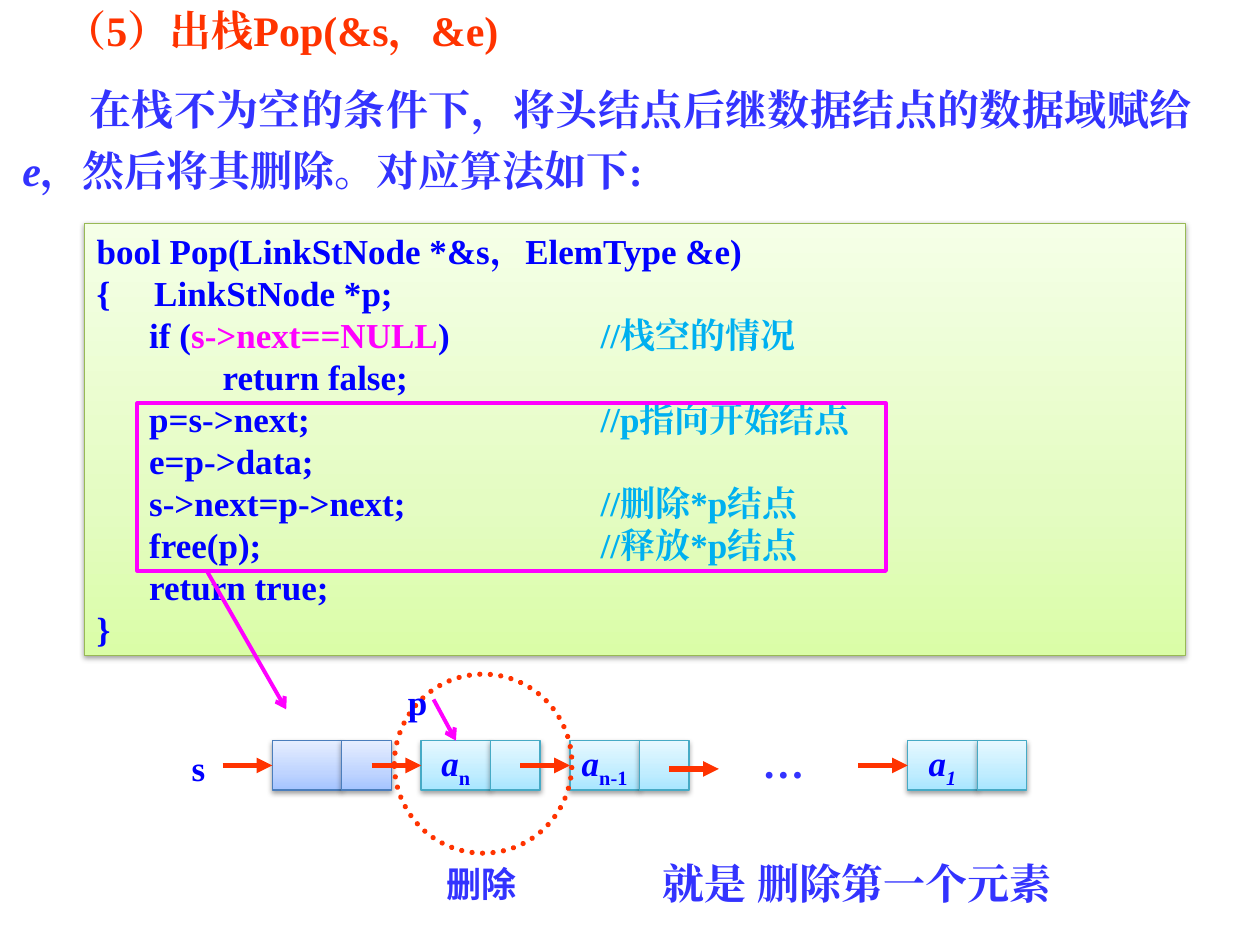
from copy import deepcopy

from lxml.etree import SubElement
from pptx import Presentation
from pptx.dml.color import RGBColor
from pptx.enum.dml import MSO_LINE
from pptx.enum.shapes import MSO_CONNECTOR, MSO_SHAPE
from pptx.enum.text import MSO_ANCHOR, PP_ALIGN
from pptx.oxml.ns import qn
from pptx.util import Cm, Pt

ORANGE = RGBColor(0xFF, 0x33, 0x00)
INDIGO = RGBColor(0x33, 0x33, 0xFF)
BLUE = RGBColor(0x00, 0x00, 0xFF)
MAGENTA = RGBColor(0xFF, 0x00, 0xFF)
SKY = RGBColor(0x00, 0xB0, 0xF0)
BLACK = RGBColor(0x00, 0x00, 0x00)

# Each palette: outline, then gradient colours from bottom to top
GREEN_PALETTE = (RGBColor(0x98, 0xB9, 0x55), RGBColor(0xDA, 0xFD, 0xA7),
                 RGBColor(0xE4, 0xFC, 0xC2), RGBColor(0xF5, 0xFF, 0xE7))
HEAD_PALETTE = (RGBColor(0x4B, 0x7E, 0xBC), RGBColor(0xA4, 0xC4, 0xFF),
                RGBColor(0xBF, 0xD4, 0xFF), RGBColor(0xE6, 0xEE, 0xFF))
DATA_PALETTE = (RGBColor(0x46, 0xAA, 0xC5), RGBColor(0xA7, 0xE6, 0xFF),
                RGBColor(0xC1, 0xED, 0xFF), RGBColor(0xE7, 0xF8, 0xFF))

CODE = [
    [("bool Pop(LinkStNode *&s，ElemType &e)", BLUE)],
    [("{     LinkStNode *p;", BLUE)],
    [("      if (", BLUE), ("s->next==NULL", MAGENTA), (")\t\t", BLUE),
     ("//栈空的情况", SKY)],
    [("\treturn false;", BLUE)],
    [("      p=s->next;\t\t\t", BLUE), ("//p指向开始结点", SKY)],
    [("      e=p->data;", BLUE)],
    [("      s->next=p->next;\t\t", BLUE), ("//删除*p结点", SKY)],
    [("      free(p);\t\t\t", BLUE), ("//释放*p结点", SKY)],
    [("      return true;", BLUE)],
    [("}", BLUE)],
]

NODE_TOP, NODE_HEIGHT = 14.93, 1
DATA_WIDTH, LINK_WIDTH = 1.4, 1
FIRST_NODE, NODE_PITCH, LAST_NODE = 5.49, 3, 18.3
ARROW_LENGTH = 1


def write(paragraph, text, size=20, color=BLUE, font="Times New Roman",
          italic=False, baseline=None):
    run = paragraph.add_run()
    run.text = text
    run.font.size = Pt(size)
    run.font.bold = True
    run.font.italic = italic
    run.font.name = font
    run.font.color.rgb = color
    properties = run.font._element
    SubElement(properties, qn("a:ea")).set("typeface", font)
    if baseline is not None:
        properties.set("baseline", str(baseline * 1000))


def indent_first_line(paragraph, distance):
    properties = paragraph._p.get_or_add_pPr()
    properties.set("marL", "0")
    properties.set("indent", str(Cm(distance)))


def add_tab_stops(paragraph, count=4, gap=2.54):
    stops = SubElement(paragraph._p.get_or_add_pPr(), qn("a:tabLst"))
    for number in range(1, count + 1):
        stop = SubElement(stops, qn("a:tab"))
        stop.set("pos", str(Cm(gap * number)))
        stop.set("algn", "l")


class SlideBuilder:
    """Draws styled elements on one slide; all lengths are in centimetres."""

    def __init__(self, slide):
        self.shapes = slide.shapes

    def text_box(self, left, top, width, height):
        frame = self.shapes.add_textbox(
            Cm(left), Cm(top), Cm(width), Cm(height)).text_frame
        frame.word_wrap = True
        return frame

    def label(self, text, left, top, width, height, align=PP_ALIGN.CENTER,
              **text_format):
        paragraph = self.text_box(left, top, width, height).paragraphs[0]
        paragraph.alignment = align
        write(paragraph, text, **text_format)
        return paragraph

    def panel(self, left, top, width, height, palette):
        """Gradient rectangle with a thin outline and a soft shadow."""
        panel = self.shapes.add_shape(
            MSO_SHAPE.RECTANGLE, Cm(left), Cm(top), Cm(width), Cm(height))
        outline, *colors = palette
        panel.line.color.rgb = outline
        panel.line.width = Pt(0.75)
        panel.fill.gradient()
        panel.fill.gradient_angle = 90
        properties = panel._element.spPr
        stop_list = properties.find(qn("a:gradFill")).find(qn("a:gsLst"))
        stop_list.insert(1, deepcopy(stop_list[0]))
        for stop, color, position in zip(
                panel.fill.gradient_stops, colors, (0, 0.35, 1)):
            stop.color.rgb = color
            stop.position = position
        self.cast_shadow(properties)
        return panel.text_frame

    def cast_shadow(self, properties):
        effects = SubElement(properties, qn("a:effectLst"))
        shadow = SubElement(effects, qn("a:outerShdw"), blurRad=str(Pt(3.1)),
                            dist=str(Pt(1.6)), dir="5400000", rotWithShape="0")
        color = SubElement(shadow, qn("a:srgbClr"), val=str(BLACK))
        SubElement(color, qn("a:alpha"), val="38000")

    def outline(self, kind, left, top, width, height, color, weight):
        shape = self.shapes.add_shape(
            kind, Cm(left), Cm(top), Cm(width), Cm(height))
        shape.shadow.inherit = False
        shape.fill.background()
        shape.line.color.rgb = color
        shape.line.width = Pt(weight)
        return shape

    def arrow(self, start, end, color=ORANGE, weight=3, head="triangle"):
        arrow = self.shapes.add_connector(
            MSO_CONNECTOR.STRAIGHT, *(Cm(value) for value in (*start, *end)))
        arrow.line.color.rgb = color
        arrow.line.width = Pt(weight)
        SubElement(arrow.line._get_or_add_ln(), qn("a:tailEnd"), type=head)
        SubElement(arrow._element.spPr, qn("a:effectLst"))

    def link_arrow(self, end, middle=NODE_TOP + NODE_HEIGHT / 2):
        self.arrow((end - ARROW_LENGTH, middle), (end, middle))

    def node(self, left, palette, subscript=None, italic_subscript=False):
        """List node: a data cell, a link cell and the arrow leading in."""
        data = self.panel(left, NODE_TOP, DATA_WIDTH, NODE_HEIGHT, palette)
        self.panel(left + DATA_WIDTH, NODE_TOP, LINK_WIDTH, NODE_HEIGHT,
                   palette)
        if subscript:
            data.word_wrap = False
            data.vertical_anchor = MSO_ANCHOR.MIDDLE
            paragraph = data.paragraphs[0]
            paragraph.alignment = PP_ALIGN.CENTER
            write(paragraph, "a", italic=True)
            write(paragraph, subscript, italic=italic_subscript, baseline=-25)
        self.link_arrow(left)

    def code(self, lines, left, top, width, height):
        frame = self.panel(left, top, width, height, GREEN_PALETTE)
        frame.word_wrap = True
        frame.vertical_anchor = MSO_ANCHOR.TOP
        for number, line in enumerate(lines):
            paragraph = frame.add_paragraph() if number else frame.paragraphs[0]
            add_tab_stops(paragraph)
            paragraph.alignment = PP_ALIGN.LEFT
            for text, color in line:
                write(paragraph, text, color=color)


def main():
    deck = Presentation()
    deck.slide_width, deck.slide_height = Cm(25.4), Cm(19.05)
    page = SlideBuilder(deck.slides.add_slide(deck.slide_layouts[6]))

    intro = page.text_box(0.2, 0.33, 24.08, 3.84)
    heading, explanation = intro.paragraphs[0], intro.add_paragraph()
    for paragraph, indent, spacing in ((heading, 0.85, 0.6),
                                       (explanation, 1.35, 1.2)):
        indent_first_line(paragraph, indent)
        paragraph.alignment = PP_ALIGN.JUSTIFY
        paragraph.line_spacing = spacing
    explanation.space_before = Pt(12)
    write(heading, "（5）出栈Pop(&s，&e)", size=24, color=ORANGE)
    write(explanation, "在栈不为空的条件下，将头结点后继数据结点的数据域赋给",
          size=24, color=INDIGO)
    write(explanation, "e", size=24, color=INDIGO, italic=True)
    write(explanation, "，然后将其删除。对应算法如下:", size=24, color=INDIGO)

    page.code(CODE, 1.7, 4.5, 22.2, 8.71)

    page.node(FIRST_NODE, HEAD_PALETTE)
    page.label("s", 3.5, NODE_TOP, 1, 1.09)
    page.node(FIRST_NODE + NODE_PITCH, DATA_PALETTE, "n")
    page.node(FIRST_NODE + 2 * NODE_PITCH, DATA_PALETTE, "n-1")
    page.node(LAST_NODE, DATA_PALETTE, "1", italic_subscript=True)
    page.link_arrow(FIRST_NODE + 3 * NODE_PITCH, middle=15.5)
    page.label("…", 15.09, 14.73, 1.4, 1.27, size=24, color=INDIGO)

    deleted = page.outline(MSO_SHAPE.OVAL, 7.95, 13.59, 3.58, 3.61, ORANGE, 3)
    deleted.line.dash_style = MSO_LINE.ROUND_DOT
    deleted.line._get_or_add_ln().set("cap", "rnd")
    page.label("删除", 8.33, 17.27, 2.77, 1.12, color=INDIGO,
               font="Noto Sans CJK SC")
    page.arrow((8.74, 14.1), (9.19, NODE_TOP), MAGENTA, 2.25, "arrow")
    page.label("p", 7.92, 13.59, 1, 1.12)

    page.outline(MSO_SHAPE.RECTANGLE, 2.77, 8.13, 15.09, 3.38, MAGENTA, 2.25)
    page.arrow((4.17, 11.51), (5.77, 14.3), MAGENTA, 2.25, "arrow")
    summary = page.label("就是 删除第一个元素", 13.11, 17.27, 10, 1.17,
                         align=PP_ALIGN.JUSTIFY, size=24, color=INDIGO)
    summary.line_spacing = 0.9
    deck.save("out.pptx")


if __name__ == "__main__":
    main()
